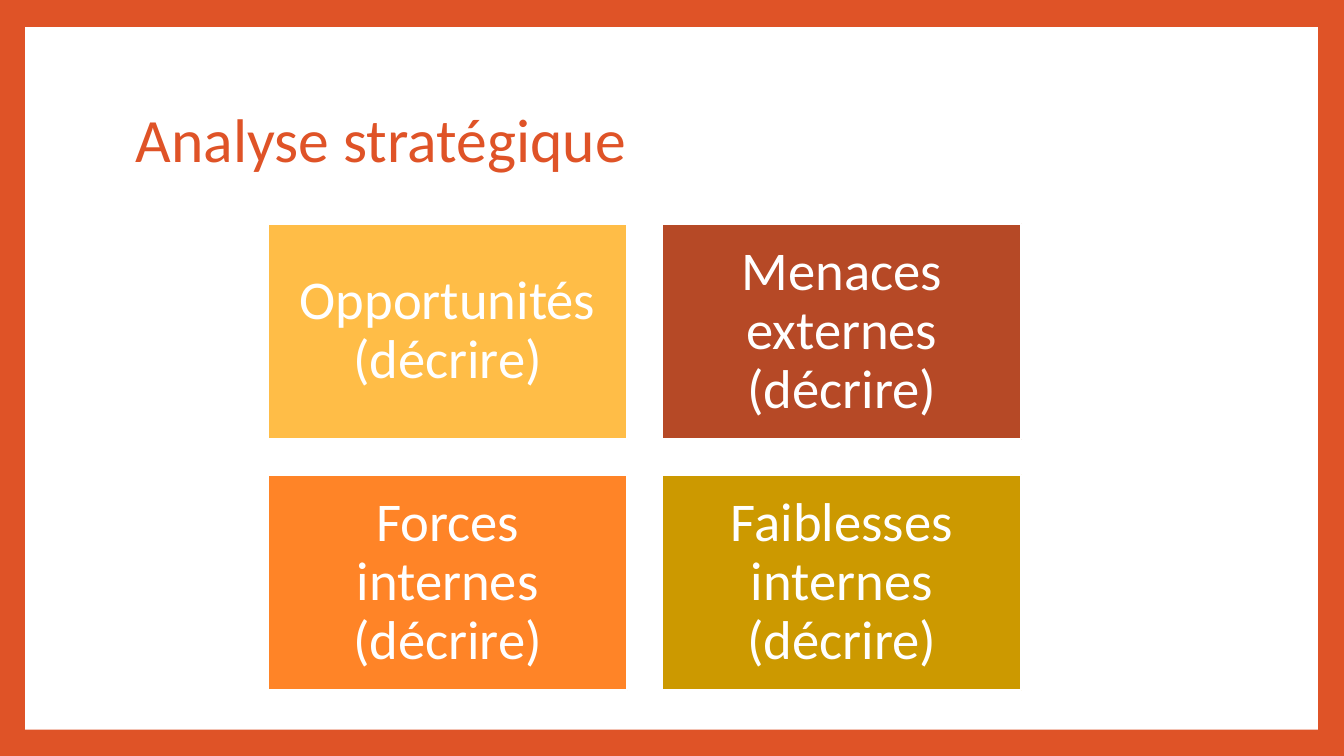
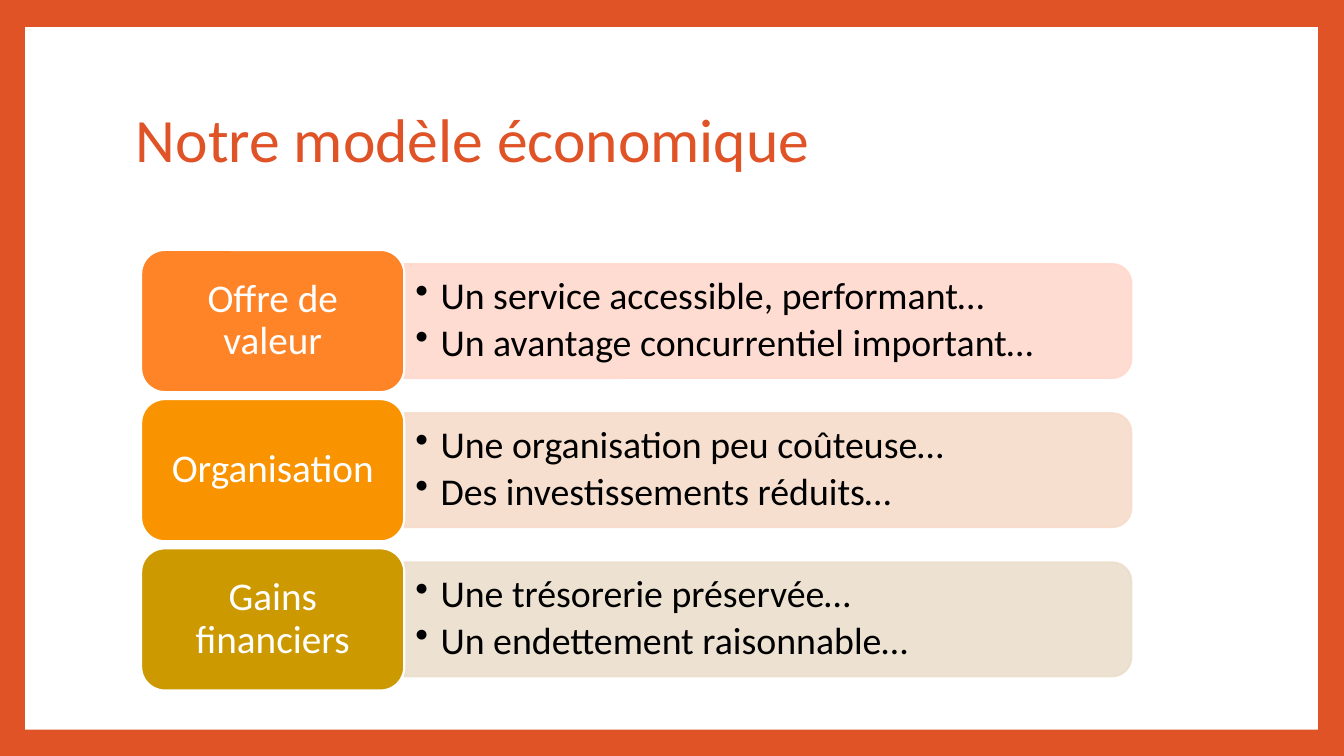
from lxml import etree
from pptx import Presentation
from pptx.dml.color import RGBColor
from pptx.enum import shapes, text
from pptx.oxml import ns
from pptx.util import Inches, Pt

FONT = "Calibri"
BRICK = RGBColor(0xDF, 0x53, 0x27)
WHITE = RGBColor(0xFF, 0xFF, 0xFF)
BLACK = RGBColor(0x00, 0x00, 0x00)
AMBER = RGBColor(0xFF, 0xBD, 0x47)
RUST = RGBColor(0xB6, 0x49, 0x26)
ORANGE = RGBColor(0xFF, 0x84, 0x27)
TANGERINE = RGBColor(0xF9, 0x93, 0x00)
OCHRE = RGBColor(0xCC, 0x99, 0x00)
PINK = RGBColor(0xFF, 0xD9, 0xCD)
PEACH = RGBColor(0xF7, 0xDC, 0xCB)
SAND = RGBColor(0xEC, 0xDE, 0xCC)


class Slides:
    """Holds the shared style and the current page."""

    def __init__(self):
        self.deck = Presentation()
        self.deck.slide_width = Inches(13.33)
        self.deck.slide_height = Inches(7.5)
        self.page = None

    def add_page(self, title):
        self.page = self.deck.slides.add_slide(self.deck.slide_layouts[6])
        fill = self.page.background.fill
        fill.solid()
        fill.fore_color.rgb = BRICK
        self.box(shapes.MSO_SHAPE.RECTANGLE, 0.25, 0.27, 12.82, 6.97, WHITE)
        self.label(1.25, 0.67, 10.8, 1.48, [title], 44, BRICK, (0.1, 0.05))

    def box(self, kind, left, top, width, height, color, line=None):
        box = self.page.shapes.add_shape(
            kind, Inches(left), Inches(top), Inches(width), Inches(height))
        box.shadow.inherit = False
        box.fill.solid()
        box.fill.fore_color.rgb = color
        if line is None:
            box.line.fill.background()
        else:
            box.line.color.rgb = line
            box.line.width = Pt(1.5)
        return box

    def set_text(self, box, lines, size, color, insets, align, after=0, bullets=False):
        frame = box.text_frame
        frame.word_wrap = True
        frame.vertical_anchor = text.MSO_ANCHOR.MIDDLE
        frame.margin_left = frame.margin_right = Inches(insets[0])
        frame.margin_top = frame.margin_bottom = Inches(insets[1])
        for index, line in enumerate(lines):
            para = frame.paragraphs[0] if index == 0 else frame.add_paragraph()
            para.text = line
            para.alignment = align
            para.line_spacing = 0.9
            para.space_after = Pt(after)
            para.font.name = FONT
            para.font.size = Pt(size)
            para.font.color.rgb = color
            if bullets:
                self.bullet(para)

    def bullet(self, para):
        props = para._p.get_or_add_pPr()
        props.set("marL", str(Inches(0.25)))
        props.set("indent", str(Inches(-0.25)))
        mark = etree.Element(ns.qn("a:buChar"), char="•")
        props.find(ns.qn("a:defRPr")).addprevious(mark)

    def label(self, left, top, width, height, lines, size, color, insets,
              after=0, bullets=False):
        box = self.page.shapes.add_textbox(
            Inches(left), Inches(top), Inches(width), Inches(height))
        self.set_text(box, lines, size, color, insets, text.PP_ALIGN.LEFT, after, bullets)

    def tile(self, kind, left, top, width, height, color, caption, size, insets):
        box = self.box(kind, left, top, width, height, color, WHITE)
        self.set_text(box, [caption], size, WHITE, insets, text.PP_ALIGN.CENTER)

    def panel(self, left, top, width, height, color):
        """Band rounded on the right: a top-rounded shape turned by 90 degrees."""
        shift = (width - height) / 2
        band = self.box(shapes.MSO_SHAPE.ROUND_2_SAME_RECTANGLE,
                        left + shift, top - shift, height, width, color, color)
        band.rotation = 90
        for tint in band._element.spPr.iter(ns.qn("a:srgbClr")):
            etree.SubElement(tint, ns.qn("a:alpha"), val="90000")


slides = Slides()

# Strategic analysis: a grid of two by two tiles
slides.add_page("Analyse stratégique")
quadrants = [
    ("Opportunités (décrire)", AMBER),
    ("Menaces externes (décrire)", RUST),
    ("Forces internes (décrire)", ORANGE),
    ("Faiblesses internes (décrire)", OCHRE),
]
for index, (caption, color) in enumerate(quadrants):
    row, column = divmod(index, 2)
    slides.tile(shapes.MSO_SHAPE.RECTANGLE, 2.66 + 3.91 * column, 2.22 + 2.49 * row,
                3.56, 2.14, color, caption, 39, (0.16, 0.16))

# Business model: a card and a bulleted band on each row
slides.add_page("Notre modèle économique")
pillars = [
    ("Offre de valeur", ORANGE, PINK,
     ["Un service accessible, performant…", "Un avantage concurrentiel important…"]),
    ("Organisation", TANGERINE, PEACH,
     ["Une organisation peu coûteuse…", "Des investissements réduits…"]),
    ("Gains financiers", OCHRE, SAND,
     ["Une trésorerie préservée…", "Un endettement raisonnable…"]),
]
for row, (caption, color, tint, points) in enumerate(pillars):
    top = 2.48 + 1.48 * row
    slides.panel(4.01, top + 0.14, 7.21, 1.13, tint)
    slides.label(4.01, top + 0.19, 7.15, 1.02, points, 27, BLACK, (0.11, 0.06),
                 after=4, bullets=True)
    slides.tile(shapes.MSO_SHAPE.ROUNDED_RECTANGLE, 1.4, top, 2.61, 1.41,
                color, caption, 28, (0.12, 0.06))

slides.deck.save("out.pptx")
